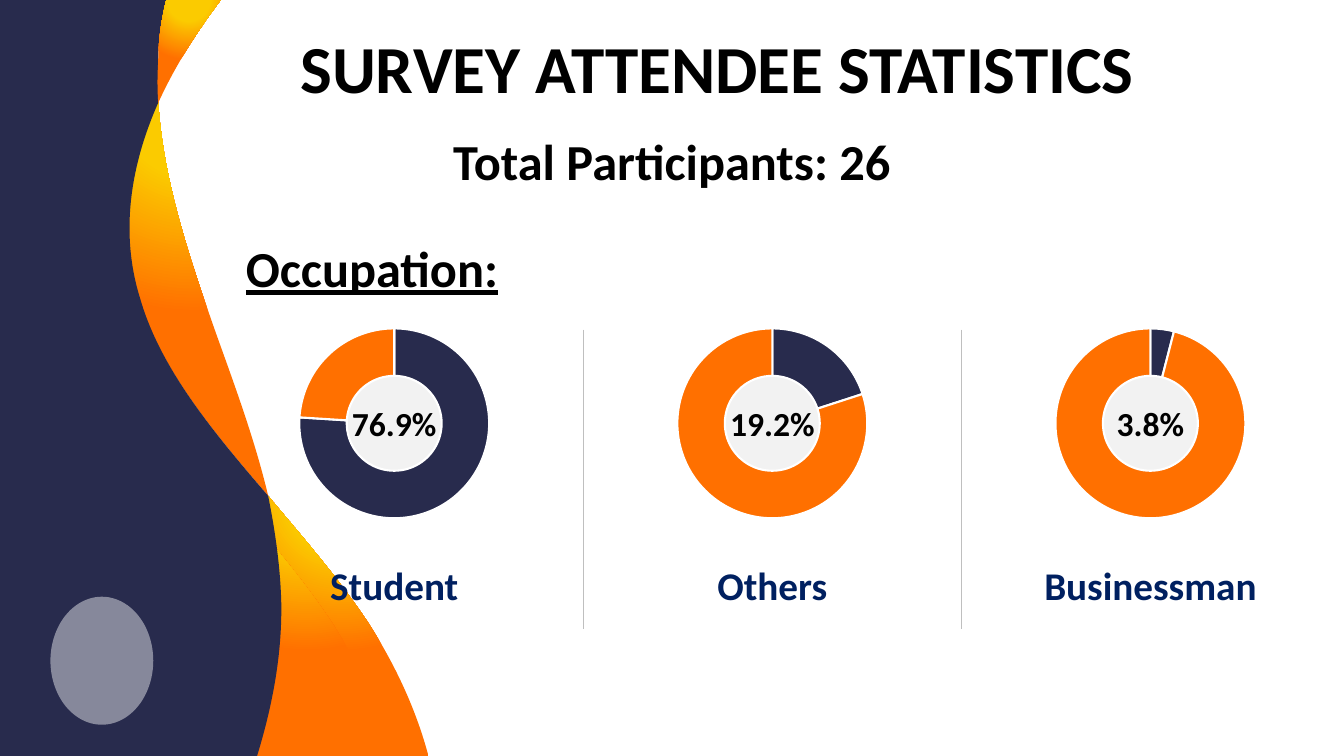
"""Build the survey attendee statistics slide with three doughnut charts."""
from lxml import etree
from pptx import Presentation
from pptx.chart.data import CategoryChartData
from pptx.dml.color import RGBColor
from pptx.enum.chart import XL_CHART_TYPE
from pptx.enum.shapes import MSO_CONNECTOR, MSO_SHAPE
from pptx.enum.text import MSO_ANCHOR, PP_ALIGN
from pptx.oxml import parse_xml
from pptx.oxml.ns import qn
from pptx.util import Inches, Pt

DOUGHNUT = XL_CHART_TYPE.DOUGHNUT
STRAIGHT = MSO_CONNECTOR.STRAIGHT
OVAL = MSO_SHAPE.OVAL
MIDDLE, BOTTOM = MSO_ANCHOR.MIDDLE, MSO_ANCHOR.BOTTOM
LEFT, CENTER = PP_ALIGN.LEFT, PP_ALIGN.CENTER

FONT = "Calibri"
COLORS = {
    "navy": "282B4D", "orange": "FF7000", "yellow": "FBCB00",
    "label": "002060", "black": "000000", "white": "FFFFFF",
    "disc": "F2F2F2", "divider": "BFBFBF", "emblem": "86889B",
}
NAMESPACE = "http://schemas.openxmlformats.org/drawingml/2006/main"

OCCUPATIONS = [
    ("Student", "76.9%", (76, 24)),
    ("Others", "19.2%", (20, 80)),
    ("Businessman", "3.8%", (4, 96)),
]
FIRST_CENTER, COLUMN_STEP = 3.91, 3.75
CHART_WIDTH, CHART_HEIGHT, CHART_MIDDLE = 2.74, 2.16, 4.2

LOWER_RIBBON = [
    (2.66, 4.92), (2.73, 5.27, 2.78, 5.61, 2.79, 5.97),
    (2.8, 6.5, 2.71, 7.01, 2.55, 7.5), (4.25, 7.5),
    (4.13, 7.05, 3.93, 6.61, 3.66, 6.19), (3.37, 5.75, 3.01, 5.34, 2.66, 4.92),
]
MIDDLE_RIBBON = [
    (1.38, 2.96), (1.59, 3.66, 2.12, 4.29, 2.66, 4.92),
    (2.53, 4.37, 2.33, 3.83, 2.14, 3.3), (1.88, 2.56, 1.62, 1.8, 1.57, 1.02),
    (1.29, 1.65, 1.19, 2.32, 1.38, 2.96),
]
UPPER_RIBBON = [
    (1.57, 1.02), (1.73, 0.67, 1.94, 0.33, 2.19, 0), (1.65, 0),
    (1.6, 0.2, 1.57, 0.41, 1.57, 0.61), (1.56, 0.75, 1.56, 0.88, 1.57, 1.02),
]
NAVY_PANEL = [
    (0, 0), (1.65, 0), (1.6, 0.2, 1.57, 0.41, 1.57, 0.61),
    (1.56, 0.75, 1.57, 0.88, 1.57, 1.02), (1.29, 1.65, 1.19, 2.32, 1.39, 2.96),
    (1.59, 3.66, 2.12, 4.29, 2.66, 4.92), (2.73, 5.27, 2.78, 5.62, 2.79, 5.97),
    (2.8, 6.5, 2.7, 7.01, 2.55, 7.5), (0, 7.5),
]


def color(name):
    """Return the named colour."""
    return RGBColor.from_string(COLORS[name])


def style_plain(shape, fill):
    """Give a shape a solid fill without line or shadow."""
    shape.shadow.inherit = False
    shape.fill.solid()
    shape.fill.fore_color.rgb = color(fill)
    shape.line.fill.background()


def bend_segments(shape, segments):
    """Join each three lines that stand for a curve into a cubic curve."""
    lines = iter(list(shape._element.iter(qn("a:lnTo"))))
    for segment in segments:
        parts = [next(lines) for _ in range(len(segment) // 2)]
        if len(parts) == 3:
            curve = etree.Element(qn("a:cubicBezTo"))
            parts[0].addprevious(curve)
            for part in parts:
                curve.append(part[0])
                part.getparent().remove(part)


def add_outline(slide, segments, fill, shift=0):
    """Add a filled freeform of lines and cubic curves."""
    points = [
        (Inches(segment[index] + shift), Inches(segment[index + 1]))
        for segment in segments for index in range(0, len(segment), 2)]
    builder = slide.shapes.build_freeform(*points[0], scale=1.0)
    builder.add_line_segments(points[1:], close=True)
    shape = builder.convert_to_shape()
    bend_segments(shape, segments[1:])
    style_plain(shape, fill)
    return shape


def add_ribbon(slide, segments, start="yellow", shift=0):
    """Add a freeform with a radial gradient centred above it."""
    shape = add_outline(slide, segments, "orange", shift)
    stops = "".join(
        f'<a:gs pos="{position}"><a:srgbClr val="{COLORS[name]}"/></a:gs>'
        for position, name in ((0, start), (35000, "yellow"), (100000, "orange")))
    gradient = parse_xml(
        f'<a:gradFill xmlns:a="{NAMESPACE}" rotWithShape="1"><a:gsLst>{stops}</a:gsLst>'
        '<a:path path="circle"><a:fillToRect l="50000" t="-80000" r="50000" b="180000"/>'
        '</a:path></a:gradFill>')
    properties = shape._element.spPr
    properties.replace(properties.find(qn("a:solidFill")), gradient)


def add_oval(slide, left, top, width, height, fill):
    """Add a plain oval."""
    shape = slide.shapes.add_shape(
        OVAL, Inches(left), Inches(top), Inches(width), Inches(height))
    style_plain(shape, fill)


def write_text(shape, text, size, align, anchor, fill="black"):
    """Write one bold paragraph and return it."""
    frame = shape.text_frame
    frame.word_wrap = True
    frame.vertical_anchor = anchor
    frame.text = text
    paragraph = frame.paragraphs[0]
    paragraph.alignment = align
    font = paragraph.font
    font.name, font.size, font.bold = FONT, Pt(size), True
    font.color.rgb = color(fill)
    return paragraph


def add_title(slide, text):
    """Place and fill the title placeholder."""
    title = slide.shapes.title
    title.left, title.top = Inches(0.45), Inches(-0.33)
    title.width, title.height = Inches(13.33), Inches(1.45)
    write_text(title, text, 48, CENTER, BOTTOM).line_spacing = 0.9


def add_heading(slide, text, left, top, width, height, align):
    """Add a 36 point heading and return its paragraph."""
    box = slide.shapes.add_textbox(
        Inches(left), Inches(top), Inches(width), Inches(height))
    paragraph = write_text(box, text, 36, align, BOTTOM)
    paragraph.line_spacing = 0.9
    return paragraph


def add_label(slide, text, size, center, top, width, height, fill):
    """Add a centred label without insets."""
    box = slide.shapes.add_textbox(
        Inches(center - width / 2), Inches(top), Inches(width), Inches(height))
    frame = box.text_frame
    frame.margin_left = frame.margin_right = frame.margin_top = frame.margin_bottom = 0
    write_text(box, text, size, CENTER, MIDDLE, fill)


def add_doughnut(slide, center, values):
    """Add a two-part doughnut chart."""
    data = CategoryChartData()
    data.categories = ["1", "2"]
    data.add_series("Series 1", values)
    chart = slide.shapes.add_chart(
        DOUGHNUT, Inches(center - CHART_WIDTH / 2), Inches(CHART_MIDDLE - CHART_HEIGHT / 2),
        Inches(CHART_WIDTH), Inches(CHART_HEIGHT), data).chart
    chart.has_legend = chart.has_title = False
    chart.font.name, chart.font.size = FONT, Pt(10)
    chart.font.color.rgb = color("black")
    plot = chart.plots[0]
    plot._element.find(qn("c:holeSize")).set("val", "70")
    for index, name in enumerate(("navy", "orange")):
        part = plot.series[0].points[index].format
        part.fill.solid()
        part.fill.fore_color.rgb = color(name)
        part.line.color.rgb = color("white")
        part.line.width = Pt(1.5)


def add_divider(slide, x):
    """Add a thin vertical line between columns."""
    line = slide.shapes.add_connector(
        STRAIGHT, Inches(x), Inches(3.27), Inches(x), Inches(6.24))
    line.line.color.rgb = color("divider")
    line.line.width = Pt(0.5)
    etree.SubElement(line._element.spPr, qn("a:effectLst"))


def main():
    """Build and save the slide."""
    presentation = Presentation()
    presentation.slide_width, presentation.slide_height = Inches(13.33), Inches(7.5)
    slide = presentation.slides.add_slide(presentation.slide_layouts[5])

    add_ribbon(slide, LOWER_RIBBON, start="orange")
    add_ribbon(slide, MIDDLE_RIBBON)
    add_ribbon(slide, LOWER_RIBBON, shift=-0.36)
    add_outline(slide, NAVY_PANEL, "navy")
    add_ribbon(slide, UPPER_RIBBON)
    add_oval(slide, 0.5, 5.92, 1.02, 1.27, "emblem")

    add_title(slide, "SURVEY ATTENDEE STATISTICS")
    add_heading(slide, "Total Participants: 26", 0, 0.5, 13.33, 1.45, CENTER)
    occupation = add_heading(slide, "Occupation:", 2.34, 2.39, 6.04, 0.62, LEFT)
    occupation.font.underline = True

    for column, (name, share, values) in enumerate(OCCUPATIONS):
        center = FIRST_CENTER + column * COLUMN_STEP
        if column:
            add_divider(slide, center - COLUMN_STEP / 2)
        add_oval(slide, center - 0.76, 3.57, 1.53, 1.26, "disc")
        add_doughnut(slide, center, values)
        add_label(slide, share, 24, center, 3.92, 1.17, 0.55, "black")
        add_label(slide, name, 28, center, 5.57, CHART_WIDTH, 0.47, "label")
    presentation.save("out.pptx")


main()
